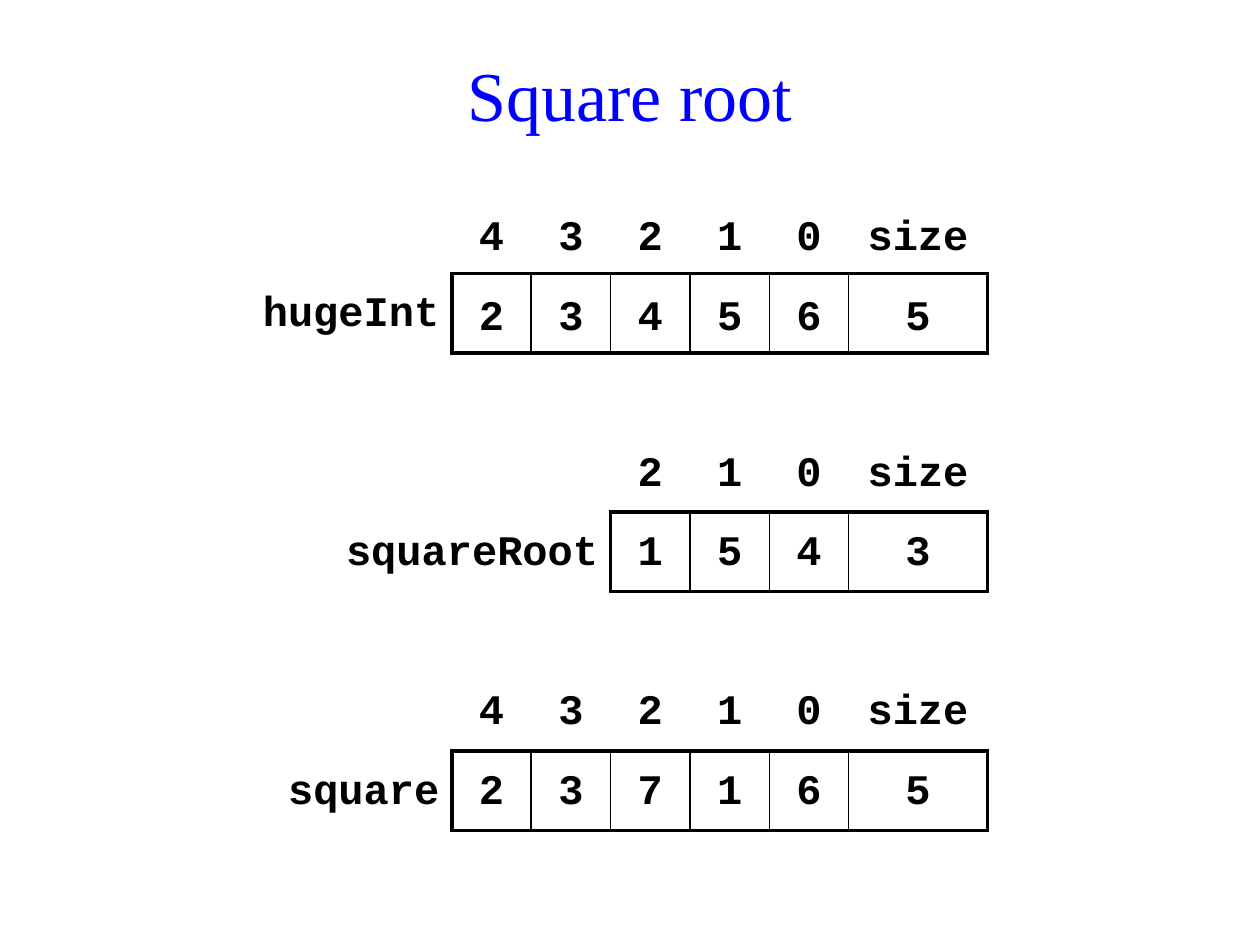
from dataclasses import dataclass

from lxml.etree import SubElement
from pptx import Presentation
from pptx.dml.color import RGBColor
from pptx.enum.text import MSO_ANCHOR as Anchor, PP_ALIGN as Align
from pptx.oxml.ns import qn
from pptx.util import Pt

COLORS = {"title": "0000FF", "ink": "000000"}
RIGHT, TOP, STEP = 564.2, 110.9, 136.4
DIGIT_W, SIZE_W, ROW_H = 45.36, 79.2, 45.36
THICK, THIN = 2.25, 1


@dataclass
class HugeInt:
    """A labelled row of digits, with the digit count after it."""
    label: str
    label_w: float
    digits: str
    anchor: Anchor = Anchor.TOP


NUMBERS = [
    HugeInt("hugeInt", 124.4, "23456", Anchor.MIDDLE),
    HugeInt("squareRoot", 158.4, "154"),
    HugeInt("square", 102, "23716"),
]


def style_text(tf, align, font: str, size: float, color: str, bold: bool) -> None:
    """Align and format the first paragraph of a text frame."""
    p = tf.paragraphs[0]
    p.alignment = align
    for r in p.runs:
        r.font.name, r.font.size, r.font.bold = font, Pt(size), bold
        r.font.color.rgb = RGBColor.from_string(COLORS[color])


def set_borders(cell, **widths: float) -> None:
    """Draw the given sides (L, R, T, B) and clear the others."""
    tc_pr = cell._tc.get_or_add_tcPr()
    for side in "LRTB":
        ln = SubElement(tc_pr, qn(f"a:ln{side}"))
        if side in widths:
            ln.set("w", str(Pt(widths[side])))
            fill = SubElement(ln, qn("a:solidFill"))
            SubElement(fill, qn("a:srgbClr")).set("val", COLORS["ink"])
        else:
            SubElement(ln, qn("a:noFill"))
    cell.fill.background()


def fill_cell(cell, text: str, align, anchor, **borders: float) -> None:
    """Write a code-styled cell and its borders."""
    set_borders(cell, **borders)
    cell.vertical_anchor = anchor
    cell.text_frame.text = text
    cell.text_frame.paragraphs[0].line_spacing = 1.25
    style_text(cell.text_frame, align, "Courier New", 24, "ink", True)


def add_number(s, number: HugeInt, top: float) -> None:
    """Add one number as a table of indices over values."""
    count = len(number.digits)
    widths = [number.label_w, *[DIGIT_W] * count, SIZE_W]
    width = sum(widths)
    table = s.shapes.add_table(2, len(widths), Pt(RIGHT - width), Pt(top),
                               Pt(width), Pt(2 * ROW_H)).table
    table.first_row = table.horz_banding = False
    for col, w in zip(table.columns, widths):
        col.width = Pt(w)
    for row in table.rows:
        row.height = Pt(ROW_H)
    set_borders(table.cell(0, 0))
    label = table.cell(1, 0)
    fill_cell(label, number.label, Align.RIGHT, Anchor.TOP, R=THICK)
    label.margin_left = 0
    heads = [*map(str, reversed(range(count))), "size"]
    values = [*number.digits, str(count)]
    for i, (head, value) in enumerate(zip(heads, values), start=1):
        fill_cell(table.cell(0, i), head, Align.CENTER, number.anchor, B=THICK)
        fill_cell(table.cell(1, i), value, Align.CENTER, number.anchor,
                  L=THICK if i == 1 else THIN,
                  R=THICK if i == len(values) else THIN, T=THICK, B=THICK)


def add_title(s, text: str) -> None:
    """Add the centred slide title."""
    tf = s.shapes.add_textbox(Pt(42.5), Pt(20.2), Pt(635), Pt(67)).text_frame
    tf.word_wrap = True
    tf.vertical_anchor = Anchor.MIDDLE
    tf.text = text
    style_text(tf, Align.CENTER, "Times New Roman", 40, "title", False)


def main() -> None:
    """Build and save the slide."""
    prs = Presentation()
    prs.slide_width, prs.slide_height = Pt(720), Pt(540)
    s = prs.slides.add_slide(prs.slide_layouts[6])
    add_title(s, "Square root")
    for i, number in enumerate(NUMBERS):
        add_number(s, number, TOP + i * STEP)
    prs.save("out.pptx")


if __name__ == "__main__":
    main()
